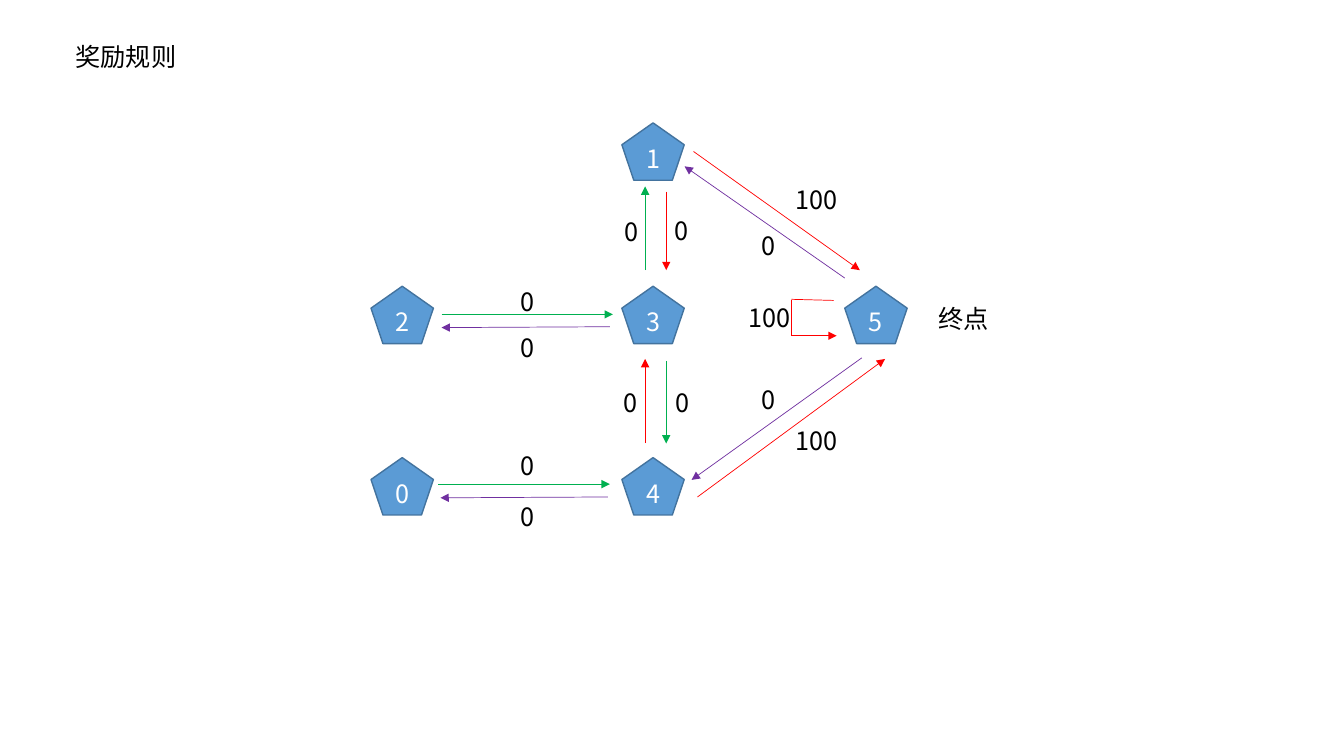
from dataclasses import dataclass

from lxml.etree import SubElement
from pptx import Presentation
from pptx.dml.color import RGBColor
from pptx.enum.shapes import MSO_CONNECTOR, MSO_SHAPE
from pptx.enum.text import MSO_ANCHOR, MSO_AUTO_SIZE, PP_ALIGN
from pptx.oxml.ns import qn
from pptx.util import Pt


@dataclass(frozen=True)
class Theme:
    """Colours, type and line widths of the slide."""

    font: str = "Noto Sans CJK SC"
    text_size: float = 18
    text: RGBColor = RGBColor(0x00, 0x00, 0x00)
    node_text: RGBColor = RGBColor(0xFF, 0xFF, 0xFF)
    node_fill: RGBColor = RGBColor(0x5B, 0x9B, 0xD5)
    node_outline: RGBColor = RGBColor(0x43, 0x73, 0x9E)
    node_outline_width: float = 1
    arrow_width: float = 0.5
    green: RGBColor = RGBColor(0x00, 0xB0, 0x50)
    purple: RGBColor = RGBColor(0x70, 0x30, 0xA0)
    red: RGBColor = RGBColor(0xFF, 0x00, 0x00)


THEME = Theme()
NODE_WIDTH, NODE_HEIGHT = 44.6, 41
LEFT, MIDDLE, RIGHT = 265, 444.2, 603.4
TOP, CENTRE, BOTTOM = 87.8, 204.5, 326.9
UP_X, DOWN_X = 460.8, 475.9
LOOP_X, LOOP_BOTTOM = 565.2, 239.8
LABEL_HEIGHT = 28.8
ZERO_WIDTH, HUNDRED_WIDTH = 36, 48.2

NODES = [
    ("1", MIDDLE, TOP),
    ("5", RIGHT, CENTRE),
    ("4", MIDDLE, BOTTOM),
    ("2", LEFT, CENTRE),
    ("3", MIDDLE, CENTRE),
    ("0", LEFT, BOTTOM),
]

MOVES = [
    ((315.4, 224.6), (437.8, 224.6), THEME.green),
    ((435.6, 233.4), (315.4, 234), THEME.purple),
    ((UP_X, 193), (UP_X, 133.2), THEME.green),
    ((DOWN_X, 136.8), (DOWN_X, 193), THEME.red),
    ((313.2, 345.8), (435.6, 345.8), THEME.green),
    ((434.2, 355), (314.6, 355.6), THEME.purple),
    ((495.4, 108.2), (614.2, 193), THEME.red),
    ((603.4, 198.6), (489, 118.8), THEME.purple),
    ((498.2, 355), (632.2, 256.4), THEME.red),
    ((615.6, 255.6), (494, 342.8), THEME.purple),
    ((UP_X, 316.6), (UP_X, 256.4), THEME.red),
    ((DOWN_X, 257.8), (DOWN_X, 316.8), THEME.green),
]

LABELS = [
    ("终点", 663.2, 213.2, 75.6),
    ("0", 364.4, 200.8, ZERO_WIDTH),
    ("0", 364.4, 233.6, ZERO_WIDTH),
    ("0", 364.8, 318.4, ZERO_WIDTH),
    ("0", 364.4, 354.4, ZERO_WIDTH),
    ("0", 439.2, 151, ZERO_WIDTH),
    ("0", 474.4, 150.4, ZERO_WIDTH),
    ("0", 438.4, 272.8, ZERO_WIDTH),
    ("0", 475.8, 272.8, ZERO_WIDTH),
    ("0", 537, 270.8, ZERO_WIDTH),
    ("0", 536.6, 161.2, ZERO_WIDTH),
    ("100", 561, 128.2, HUNDRED_WIDTH),
    ("100", 527.8, 212.4, HUNDRED_WIDTH),
    ("100", 561, 300.4, HUNDRED_WIDTH),
    ("奖励规则", 46.8, 26, 348.4),
]


def add_text(paragraph, wording, colour):
    """Add one run in the theme font for Latin and East Asian letters."""
    run = paragraph.add_run()
    run.text = wording
    run.font.size = Pt(THEME.text_size)
    run.font.name = THEME.font
    run.font.color.rgb = colour
    SubElement(run.font._element, qn("a:ea"), typeface=THEME.font)


def add_node(slide, number, left, top):
    """Draw a numbered pentagon for one state."""
    node = slide.shapes.add_shape(
        MSO_SHAPE.REGULAR_PENTAGON, Pt(left), Pt(top), Pt(NODE_WIDTH), Pt(NODE_HEIGHT)
    )
    node.shadow.inherit = False
    node.fill.solid()
    node.fill.fore_color.rgb = THEME.node_fill
    node.line.color.rgb = THEME.node_outline
    node.line.width = Pt(THEME.node_outline_width)
    node.text_frame.vertical_anchor = MSO_ANCHOR.MIDDLE
    paragraph = node.text_frame.paragraphs[0]
    paragraph.alignment = PP_ALIGN.CENTER
    add_text(paragraph, number, THEME.node_text)


def add_move(slide, start, end, colour, has_head=True):
    """Draw a straight line from start to end, with an arrowhead if wanted."""
    move = slide.shapes.add_connector(
        MSO_CONNECTOR.STRAIGHT, *(Pt(value) for value in (*start, *end))
    )
    move.line.color.rgb = colour
    move.line.width = Pt(THEME.arrow_width)
    if has_head:
        SubElement(move.line._get_or_add_ln(), qn("a:tailEnd"), type="triangle")
    SubElement(move._element.spPr, qn("a:effectLst"))


def add_goal_loop(slide):
    """Draw the three-sided arrow by which the goal leads back to itself."""
    add_move(slide, (595.4, 214.6), (LOOP_X, 213.8), THEME.red, has_head=False)
    add_move(slide, (LOOP_X, LOOP_BOTTOM), (LOOP_X, 214.6), THEME.red, has_head=False)
    add_move(slide, (LOOP_X, LOOP_BOTTOM), (597.6, LOOP_BOTTOM), THEME.red)


def add_label(slide, wording, left, top, width):
    """Place a line of text in a box that grows with its content."""
    label = slide.shapes.add_textbox(Pt(left), Pt(top), Pt(width), Pt(LABEL_HEIGHT))
    label.text_frame.word_wrap = True
    label.text_frame.auto_size = MSO_AUTO_SIZE.SHAPE_TO_FIT_TEXT
    add_text(label.text_frame.paragraphs[0], wording, THEME.text)


def main():
    """Build the reward diagram and save it."""
    presentation = Presentation()
    presentation.slide_width, presentation.slide_height = Pt(960), Pt(540)
    slide = presentation.slides.add_slide(presentation.slide_layouts[6])
    for node in NODES:
        add_node(slide, *node)
    for move in MOVES:
        add_move(slide, *move)
    add_goal_loop(slide)
    for label in LABELS:
        add_label(slide, *label)
    presentation.save("out.pptx")


if __name__ == "__main__":
    main()
